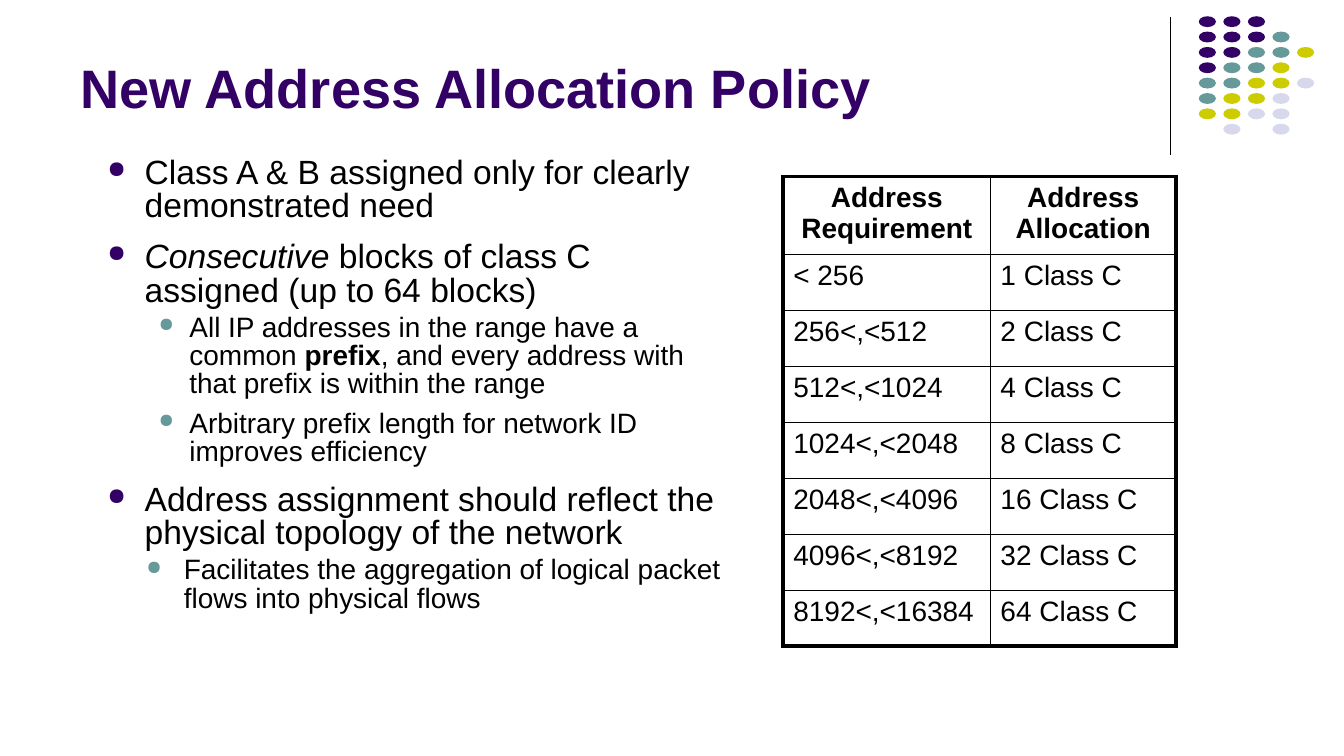
"""Build the New Address Allocation Policy slide."""
import pptx
import pptx.chart
import pptx.dml.color
import pptx.enum.shapes
import pptx.enum.text
import pptx.oxml
import pptx.oxml.ns
import pptx.util
from lxml import etree

Pt = pptx.util.Pt
qn = pptx.oxml.ns.qn
ALIGN = pptx.enum.text.PP_ALIGN
SHAPE = pptx.enum.shapes.MSO_SHAPE
COLORS = {"purple": "330066", "teal": "669999", "yellow": "CCCC00",
          "lavender": "D8D8EC", "black": "000000"}


def rgb(name):
    return pptx.dml.color.RGBColor.from_string(COLORS[name])


def add_run(p, text, size=15, color="black", bold=False, italic=False):
    r = p.add_run()
    r.text = text
    r.font.name = "Arial"
    r.font.size = Pt(size)
    r.font.bold = bold
    r.font.italic = italic
    r.font.color.rgb = rgb(color)


prs = pptx.Presentation()
prs.slide_width, prs.slide_height = Pt(720), Pt(405)
s = prs.slides.add_slide(prs.slide_layouts[6])

line = s.shapes.add_connector(pptx.enum.shapes.MSO_CONNECTOR.STRAIGHT,
                              Pt(627), Pt(9), Pt(627), Pt(83))
line.line.color.rgb = rgb("black")
line.line.width = Pt(0.75)
etree.SubElement(line.line._get_or_add_ln().getparent(), qn("a:effectLst"))

dot_colors = {"P": "purple", "T": "teal", "Y": "yellow", "L": "lavender"}
dot_rows = ["PPP", "PPPT", "PPTTY", "PTTY", "TTYYL", "TYYL", "YYLL", ".L.L"]
for row, codes in enumerate(dot_rows):
    for col, code in enumerate(codes):
        if code in dot_colors:
            sp = s.shapes.add_shape(SHAPE.OVAL, Pt(642.2 + 13.15 * col),
                                    Pt(8.7 + 8.23 * row), Pt(9.2), Pt(5.8))
            sp.shadow.inherit = False
            sp.fill.solid()
            sp.fill.fore_color.rgb = rgb(dot_colors[code])
            sp.line.fill.background()

tf = s.shapes.add_textbox(Pt(36), Pt(7.2), Pt(594), Pt(60.5)).text_frame
tf.word_wrap = True
tf.vertical_anchor = pptx.enum.text.MSO_ANCHOR.BOTTOM
add_run(tf.paragraphs[0], "New Address Allocation Policy", size=29, color="purple", bold=True)

bullets = [
    (0, 20, 0, [("Class A & B assigned only for clearly demonstrated need", {})]),
    (0, 20, 9, [("Consecutive", {"italic": True}),
                (" blocks of class C assigned (up to 64 blocks)", {})]),
    (1, 44, 3, [("All IP addresses in the range have a common ", {}),
                ("prefix", {"bold": True}),
                (", and every address with that prefix is within the range", {})]),
    (1, 44, 6, [("Arbitrary prefix length for network ID improves efficiency", {})]),
    (0, 20, 9, [("Address assignment should reflect the physical topology of the network", {})]),
    (1, 41, 3, [("Facilitates the aggregation of logical packet flows into physical flows", {})]),
]
tf = s.shapes.add_textbox(Pt(50.4), Pt(80.6), Pt(347), Pt(255)).text_frame
tf.word_wrap = True
for i, (level, indent, before, runs) in enumerate(bullets):
    p = tf.paragraphs[0] if i == 0 else tf.add_paragraph()
    p.level = level
    p.line_spacing = 0.84
    p.space_before = Pt(before)
    pPr = p._p.get_or_add_pPr()
    hanging = 16.5 if indent == 44 else 20
    pPr.set("marL", str(Pt(indent)))
    pPr.set("indent", str(-Pt(hanging)))
    clr = etree.SubElement(pPr, qn("a:buClr"))
    etree.SubElement(clr, qn("a:srgbClr"), val=COLORS["teal" if level else "purple"])
    etree.SubElement(pPr, qn("a:buSzPct"), val="70000")
    etree.SubElement(pPr, qn("a:buChar"), char="●")
    for text, fmt in runs:
        add_run(p, text, size=15 if level else 18, **fmt)

rows = [("Address Requirement", "Address Allocation"),
        ("< 256", "1 Class C"), ("256<,<512", "2 Class C"),
        ("512<,<1024", "4 Class C"), ("1024<,<2048", "8 Class C"),
        ("2048<,<4096", "16 Class C"), ("4096<,<8192", "32 Class C"),
        ("8192<,<16384", "64 Class C")]
table = s.shapes.add_table(len(rows), 2, Pt(419.6), Pt(94.5), Pt(210.4), Pt(251)).table
table.first_row = table.horz_banding = False
table.columns[0].width, table.columns[1].width = Pt(111), Pt(99.4)
for i, values in enumerate(rows):
    table.rows[i].height = Pt(30 if i else 41)
    for j, text in enumerate(values):
        cell = table.cell(i, j)
        cell.margin_left = cell.margin_right = Pt(5.4)
        cell.margin_top = cell.margin_bottom = Pt(2.9)
        p = cell.text_frame.paragraphs[0]
        p.alignment = ALIGN.LEFT if i else ALIGN.CENTER
        add_run(p, text, bold=i == 0)
        tcPr = cell._tc.get_or_add_tcPr()
        outer = {"L": j == 0, "R": j == 1, "T": i == 0, "B": i == len(rows) - 1}
        for side, thick in outer.items():
            ln = etree.SubElement(tcPr, qn("a:ln" + side), w=str(Pt(2.25 if thick else 1)))
            fill = etree.SubElement(ln, qn("a:solidFill"))
            etree.SubElement(fill, qn("a:srgbClr"), val=COLORS["black"])
        cell.fill.background()

prs.save("out.pptx")
